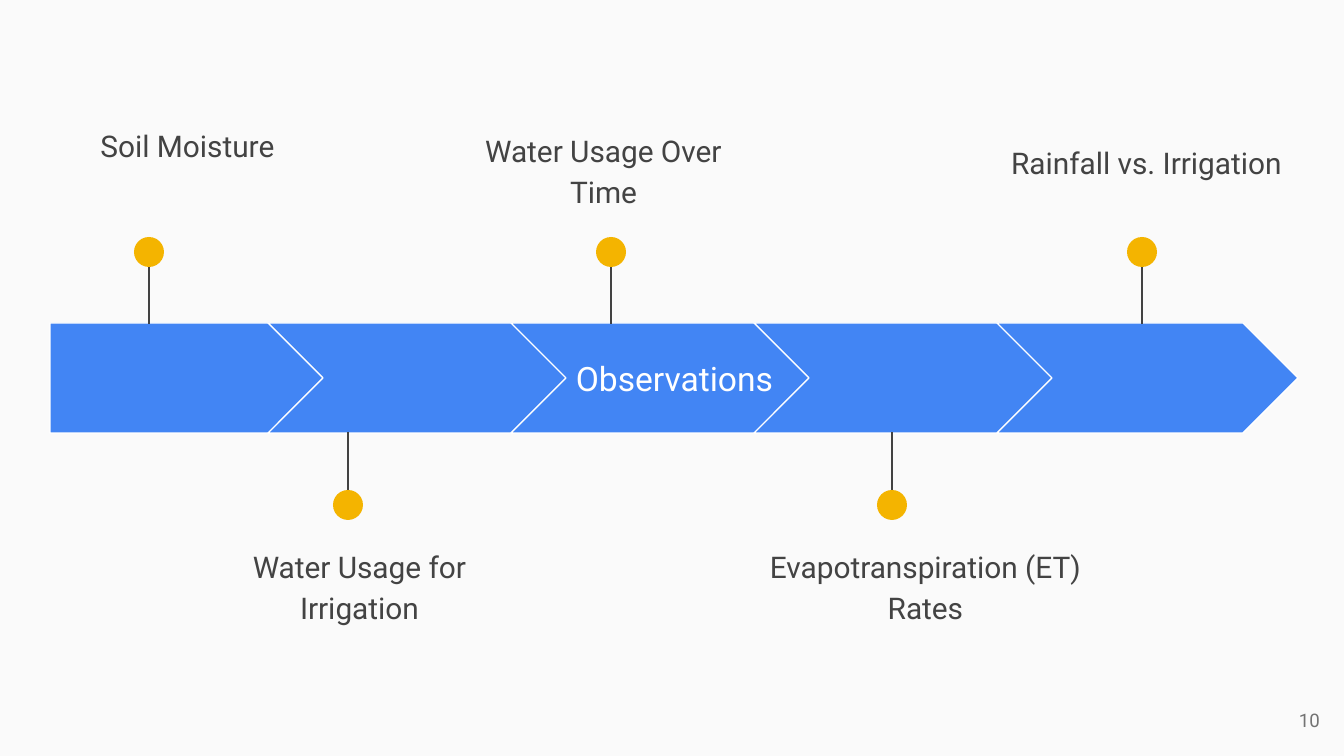
from dataclasses import dataclass

from lxml.etree import SubElement
from pptx import Presentation
from pptx.dml.color import RGBColor
from pptx.enum.shapes import MSO_CONNECTOR, MSO_SHAPE
from pptx.enum.text import MSO_ANCHOR, PP_ALIGN
from pptx.oxml.ns import qn
from pptx.util import Inches, Pt

PIXELS_PER_INCH = 134.4


def px(length):
    return Inches(length / PIXELS_PER_INCH)


@dataclass(frozen=True)
class Theme:
    font: str = "Roboto"
    background: str = "FAFAFA"
    band: str = "4285F4"
    white: str = "FFFFFF"
    pin: str = "F4B400"
    stem: str = "424242"
    label: str = "434343"
    page: str = "737373"
    title_size: int = 18
    label_size: int = 16
    page_size: int = 10
    line_width: float = 0.75


class TimelineSlide:
    def __init__(self, slide, theme):
        self.slide = slide
        self.theme = theme
        fill = slide.background.fill
        fill.solid()
        fill.fore_color.rgb = RGBColor.from_string(theme.background)

    def shape(self, kind, left, top, width, height, color):
        shape = self.slide.shapes.add_shape(
            kind, px(left), px(top), px(width), px(height)
        )
        shape.shadow.inherit = False
        shape.fill.solid()
        shape.fill.fore_color.rgb = RGBColor.from_string(color)
        shape.line.fill.background()
        return shape

    def band_step(self, kind, left, width):
        shape = self.shape(kind, left, BAND_TOP, width, BAND_HEIGHT, self.theme.band)
        shape.adjustments[0] = 0.5
        shape.line.color.rgb = RGBColor.from_string(self.theme.white)
        shape.line.width = Pt(self.theme.line_width)

    def pin(self, center, above):
        disc_center = 252 if above else 505
        band_edge = BAND_TOP + 1 if above else BAND_TOP + BAND_HEIGHT - 1
        stem = self.slide.shapes.add_connector(
            MSO_CONNECTOR.STRAIGHT,
            px(center), px(disc_center), px(center), px(band_edge),
        )
        stem.line.color.rgb = RGBColor.from_string(self.theme.stem)
        stem.line.width = Pt(self.theme.line_width)
        SubElement(stem._element.spPr, qn("a:effectLst"))
        radius = PIN_SIZE // 2
        self.shape(
            MSO_SHAPE.OVAL, center - radius, disc_center - radius,
            PIN_SIZE, PIN_SIZE, self.theme.pin,
        )

    def text(self, words, box, size, color, align=PP_ALIGN.CENTER,
             anchor=MSO_ANCHOR.MIDDLE):
        shape = self.slide.shapes.add_textbox(*map(px, box))
        frame = shape.text_frame
        frame.word_wrap = True
        frame.vertical_anchor = anchor
        frame.margin_left = frame.margin_right = Inches(0.1)
        frame.margin_top = frame.margin_bottom = Inches(0.1)
        paragraph = frame.paragraphs[0]
        paragraph.text = words
        paragraph.alignment = align
        paragraph.font.name = self.theme.font
        paragraph.font.size = Pt(size)
        paragraph.font.color.rgb = RGBColor.from_string(color)
        return paragraph

    def label(self, words, box):
        paragraph = self.text(
            words, box, self.theme.label_size, self.theme.label, anchor=MSO_ANCHOR.TOP
        )
        paragraph.line_spacing = 1.15
        paragraph.space_after = Pt(16)


BAND_TOP = 323
BAND_HEIGHT = 110
FIRST_CHEVRON_LEFT = 268
CHEVRON_PITCH = 243
CHEVRON_WIDTH = 301
PIN_SIZE = 30

OBSERVATIONS = [
    ("Soil Moisture", 149, (23, 109, 329, 69)),
    ("Water Usage for Irrigation", 348, (183, 530, 353, 99)),
    ("Water Usage Over Time", 611, (439, 114, 329, 58)),
    ("Evapotranspiration (ET) Rates", 892, (754, 530, 343, 79)),
    ("Rainfall vs. Irrigation", 1142, (982, 126, 329, 58)),
]


def main():
    presentation = Presentation()
    presentation.slide_width = px(1344)
    presentation.slide_height = px(756)
    theme = Theme()
    timeline = TimelineSlide(
        presentation.slides.add_slide(presentation.slide_layouts[6]), theme
    )

    timeline.band_step(MSO_SHAPE.PENTAGON, 50, 275)
    for index in range(len(OBSERVATIONS) - 1):
        left = FIRST_CHEVRON_LEFT + index * CHEVRON_PITCH
        timeline.band_step(MSO_SHAPE.CHEVRON, left, CHEVRON_WIDTH)

    for index, (words, center, box) in enumerate(OBSERVATIONS):
        timeline.pin(center, above=index % 2 == 0)
        timeline.label(words, box)

    timeline.text("Observations", (524, 344, 301, 69), theme.title_size, theme.white)
    timeline.text(
        "10", (1253, 691, 80, 58), theme.page_size, theme.page, PP_ALIGN.RIGHT
    )
    presentation.save("out.pptx")


if __name__ == "__main__":
    main()
